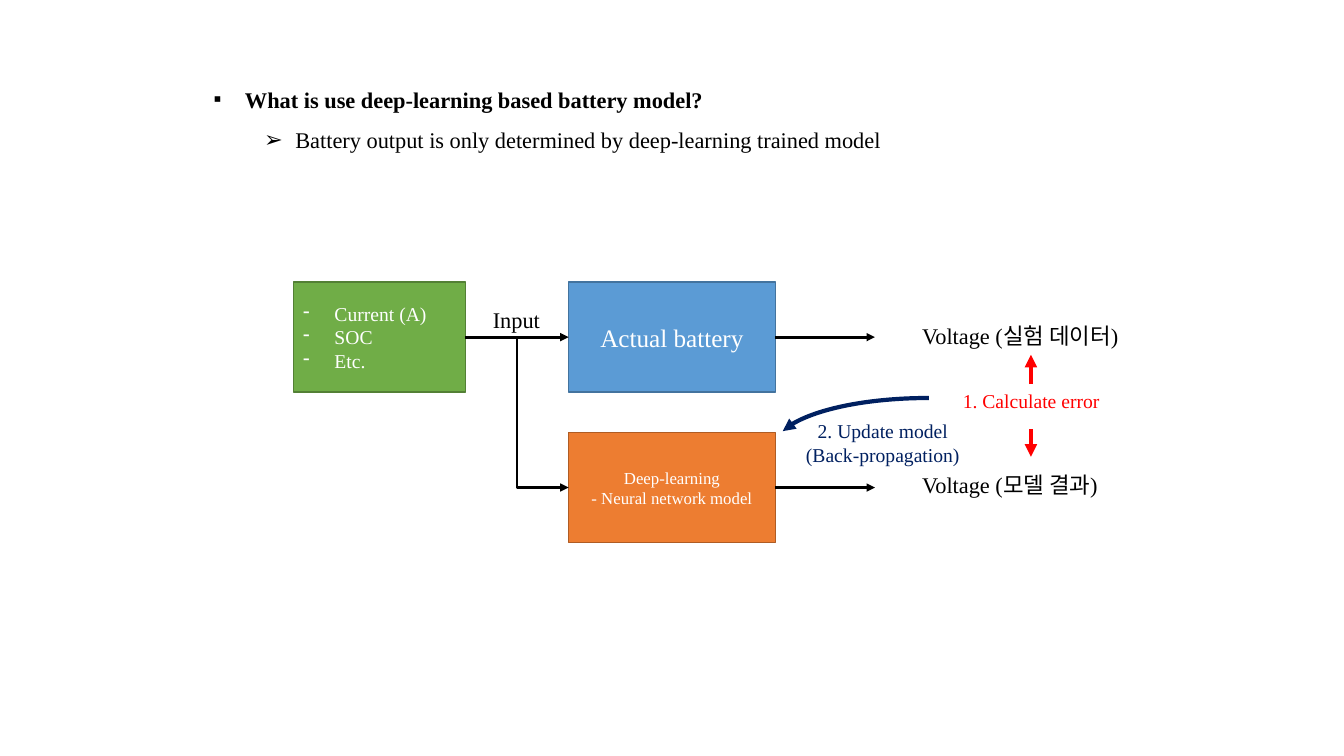
from dataclasses import dataclass

from lxml.etree import SubElement
from pptx import Presentation
from pptx.dml.color import RGBColor
from pptx.dml.line import LineFormat
from pptx.enum.shapes import MSO_CONNECTOR as Route, MSO_SHAPE as Preset
from pptx.enum.text import MSO_ANCHOR as Anchor, MSO_AUTO_SIZE as AutoSize, PP_ALIGN as Align
from pptx.oxml.ns import qn
from pptx.shapes.autoshape import Shape
from pptx.shapes.connector import Connector
from pptx.text.text import TextFrame
from pptx.util import Cm, Pt

FONT = "Times New Roman"
BLACK = RGBColor(0x00, 0x00, 0x00)
WHITE = RGBColor(0xFF, 0xFF, 0xFF)
RED = RGBColor(0xFF, 0x00, 0x00)
NAVY = RGBColor(0x00, 0x20, 0x60)
GREEN = RGBColor(0x70, 0xAD, 0x47)
DARK_GREEN = RGBColor(0x53, 0x80, 0x35)
BLUE = RGBColor(0x5B, 0x9B, 0xD5)
DARK_BLUE = RGBColor(0x43, 0x73, 0x9E)
ORANGE = RGBColor(0xED, 0x7D, 0x31)
DARK_ORANGE = RGBColor(0xAF, 0x5C, 0x24)

TOP, RIGHT, LEFT = 0, 3, 1
BOX_HEIGHT = 2.77
UPPER_ROW, LOWER_ROW = 7.11, 10.9
UPPER_AXIS, LOWER_AXIS = (row + BOX_HEIGHT / 2 for row in (UPPER_ROW, LOWER_ROW))
MODEL_LEFT, MODEL_WIDTH = 14.33, 5.21
OUTPUT_ARROW_END = 22.05
ERROR_AXIS = 25.98
HANGING = 0.79


@dataclass(frozen=True)
class Block:
    text: str
    left: float
    top: float
    width: float
    fill: RGBColor
    border: RGBColor
    size: int
    align: Align = Align.CENTER
    bullet: str = ""


@dataclass(frozen=True)
class Label:
    text: str
    left: float
    top: float
    width: float
    height: float
    size: int = 16
    color: RGBColor = BLACK
    align: Align = Align.LEFT


INPUTS = Block("Current (A)\nSOC\nEtc.", 7.39, UPPER_ROW, 4.34,
               GREEN, DARK_GREEN, 14, Align.LEFT, "-")
BATTERY = Block("Actual battery", MODEL_LEFT, UPPER_ROW, MODEL_WIDTH, BLUE, DARK_BLUE, 18)
NETWORK = Block("Deep-learning\n- Neural network model", MODEL_LEFT, LOWER_ROW, MODEL_WIDTH,
                ORANGE, DARK_ORANGE, 12)
LABELS = (
    Label("Input", 12.17, 7.59, 3.4, 0.94),
    Label("Voltage (실험 데이터)", 22.99, 8, 6, 0.94),
    Label("Voltage (모델 결과)", 22.99, 11.76, 6, 0.94),
    Label("1. Calculate error", 23.5, 9.68, 4.98, 0.86, 14, RED, Align.CENTER),
    Label("2. Update model\n(Back-propagation)", 19.76, 10.44, 4.98, 1.45, 14, NAVY, Align.CENTER),
)


def write_text(frame: TextFrame, text: str, *, size: int, color: RGBColor = BLACK,
               bold: bool = False, align: Align = Align.LEFT, spacing: float = 1,
               bullet: str = "", level: int = 0, indent: float = HANGING) -> None:
    """Append one paragraph per line of text, using the empty first one if there is one."""
    frame.word_wrap = True
    for line in text.split("\n"):
        last = frame.paragraphs[-1]
        paragraph = frame.add_paragraph() if last.runs else last
        paragraph.alignment, paragraph.level = align, level
        paragraph.line_spacing, paragraph.space_before = spacing, Pt(0)
        run = paragraph.add_run()
        run.text = line
        run.font.name, run.font.size, run.font.bold = FONT, Pt(size), bold
        run.font.color.rgb = color
        if bullet:
            properties = paragraph._p.get_or_add_pPr()
            properties.set("marL", str(Cm(indent)))
            properties.set("indent", str(-Cm(HANGING)))
            SubElement(properties, qn("a:buChar"), char=bullet)


def style_line(line: LineFormat, color: RGBColor, width: float, arrow_end: str = "") -> None:
    """Colour a line; arrow_end is headEnd, tailEnd or empty."""
    line.color.rgb = color
    line.width = Pt(width)
    if arrow_end:
        SubElement(line._get_or_add_ln(), qn(f"a:{arrow_end}"), type="triangle")


def add_block(shapes, block: Block) -> Shape:
    box = shapes.add_shape(Preset.RECTANGLE, Cm(block.left), Cm(block.top),
                           Cm(block.width), Cm(BOX_HEIGHT))
    box.shadow.inherit = False
    box.fill.solid()
    box.fill.fore_color.rgb = block.fill
    style_line(box.line, block.border, 1)
    box.text_frame.vertical_anchor = Anchor.MIDDLE
    write_text(box.text_frame, block.text, size=block.size, color=WHITE,
               align=block.align, bullet=block.bullet)
    return box


def add_label(shapes, label: Label) -> None:
    box = shapes.add_textbox(Cm(label.left), Cm(label.top), Cm(label.width), Cm(label.height))
    write_text(box.text_frame, label.text, size=label.size, color=label.color, align=label.align)


def add_arrow(shapes, start: tuple[float, float], end: tuple[float, float], *,
              route: Route = Route.STRAIGHT, color: RGBColor = BLACK, width: float = 2,
              source: Shape | None = None, target: Shape | None = None) -> Connector:
    """Draw an arrow, joined to the right of source and the left of target."""
    arrow = shapes.add_connector(route, *(Cm(value) for value in (*start, *end)))
    if source is not None:
        arrow.begin_connect(source, RIGHT)
    if target is not None:
        arrow.end_connect(target, LEFT)
    style_line(arrow.line, color, width, "tailEnd")
    SubElement(arrow._element.spPr, qn("a:effectLst"))
    return arrow


def add_update_arc(shapes) -> None:
    arc = shapes.add_shape(Preset.ARC, Cm(19.53), Cm(10.03), Cm(7.72), Cm(2.44))
    arc.shadow.inherit = False
    arc.fill.background()
    # Angles of 186 and 271 degrees, in units of 100000/60000 degree
    arc.adjustments[0], arc.adjustments[1] = 111.6, 162.6
    style_line(arc.line, NAVY, 3, "headEnd")


def fill_heading(slide) -> None:
    title = slide.shapes.title
    title._element.getparent().remove(title._element)
    body = slide.placeholders[1]
    body.left, body.top, body.width, body.height = Cm(5.13), Cm(1.7), Cm(23.8), Cm(2.31)
    frame = body.text_frame
    frame.auto_size = AutoSize.NONE
    write_text(frame, "What is use deep-learning based battery model?", size=16, bold=True,
               spacing=1.5, bullet="▪")
    write_text(frame, "Battery output is only determined by deep-learning trained model", size=16,
               spacing=1.5, bullet="➢", level=1, indent=2.06)


def main() -> None:
    deck = Presentation()
    deck.slide_width, deck.slide_height = Cm(33.87), Cm(19.05)
    slide = deck.slides.add_slide(deck.slide_layouts[1])
    shapes = slide.shapes
    fill_heading(slide)

    inputs, battery, network = (add_block(shapes, block) for block in (INPUTS, BATTERY, NETWORK))
    inputs_right = INPUTS.left + INPUTS.width
    model_right = MODEL_LEFT + MODEL_WIDTH
    add_arrow(shapes, (inputs_right, UPPER_AXIS), (MODEL_LEFT, UPPER_AXIS),
              source=inputs, target=battery)
    add_arrow(shapes, (inputs_right, UPPER_AXIS), (MODEL_LEFT, LOWER_AXIS),
              route=Route.ELBOW, source=inputs, target=network)
    for model, axis in ((battery, UPPER_AXIS), (network, LOWER_AXIS)):
        add_arrow(shapes, (model_right, axis), (OUTPUT_ARROW_END, axis), source=model)
    for start, end in ((10.82, 11.51), (9.68, 8.94)):
        add_arrow(shapes, (ERROR_AXIS, start), (ERROR_AXIS, end), color=RED, width=3)
    add_update_arc(shapes)
    for label in LABELS:
        add_label(shapes, label)

    deck.save("out.pptx")


if __name__ == "__main__":
    main()
